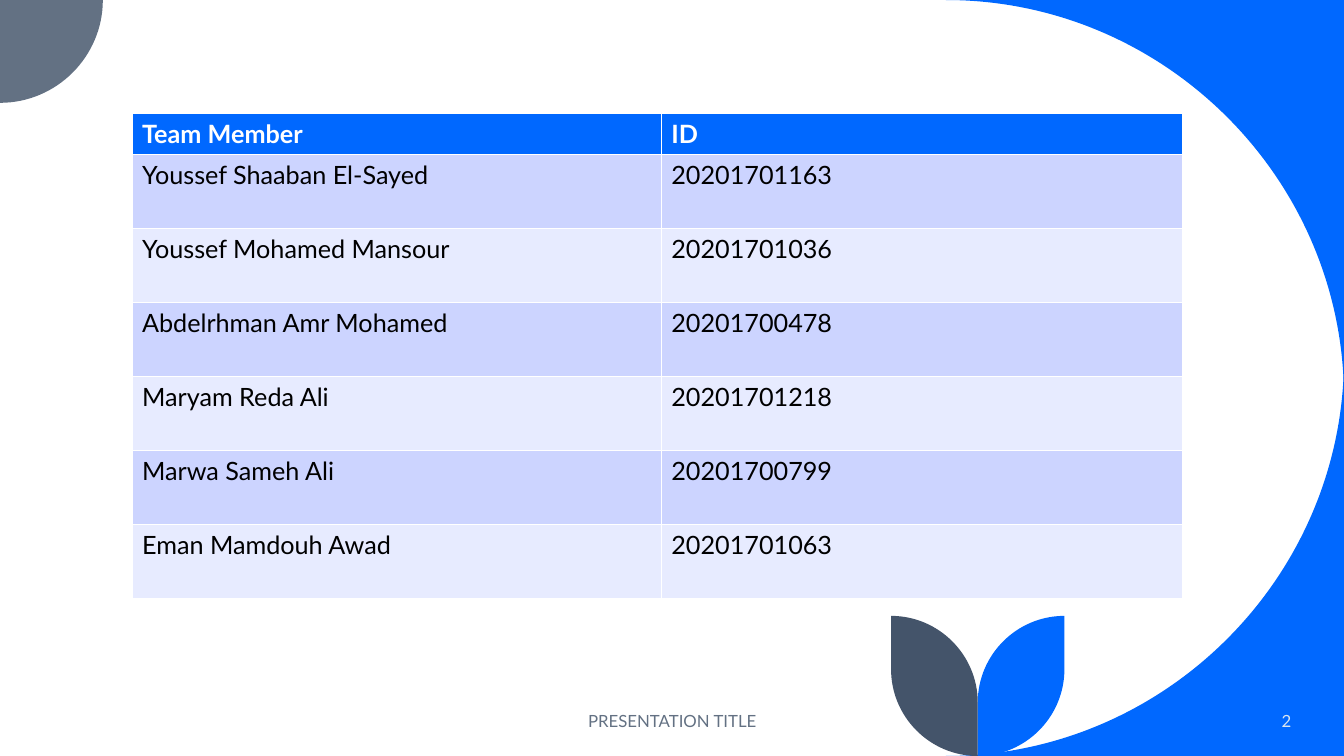
from dataclasses import dataclass

import pptx
import pptx.util
import pptx.dml.color
import pptx.enum.text
import pptx.oxml.ns

Inches = pptx.util.Inches
Rgb = pptx.dml.color.RGBColor.from_string
Align = pptx.enum.text.PP_ALIGN
Anchor = pptx.enum.text.MSO_ANCHOR
qn = pptx.oxml.ns.qn


@dataclass(frozen=True)
class Theme:
    font: str = "Lato"
    table_size: int = 18
    footer_size: int = 12
    blue: str = "0068FF"
    slate: str = "637183"
    navy: str = "44546A"
    pale: str = "DAE5EF"
    white: str = "FFFFFF"
    black: str = "000000"
    bands: tuple = ("CCD4FF", "E7EBFF")


theme = Theme()


def write(frame, text, size, color, bold=False, align=Align.LEFT):
    paragraph = frame.paragraphs[0]
    paragraph.alignment = align
    run = paragraph.add_run()
    run.text = text
    run.font.name = theme.font
    run.font.size = pptx.util.Pt(size)
    run.font.bold = bold
    run.font.color.rgb = Rgb(color)


def quarter(start, corner, end):
    """Bezier points of a quarter circle that bulges towards corner."""
    controls = [
        tuple(a + (b - a) * 0.55 for a, b in zip(tip, corner)) for tip in (start, end)
    ]
    return controls + [end]


deck = pptx.Presentation()
deck.slide_width = Inches(13.333)
deck.slide_height = Inches(7.5)
slide = deck.slides.add_slide(deck.slide_layouts[6])

# Curved decoration: each outline is a start point, then lines (1 point) or curves (3)
right, bottom, sweep, disc = 13.333, 7.5, 3.95, 1.02
decorations = [
    (theme.blue, (right, 0), [
        [(right - sweep, 0)],
        quarter((right - sweep, 0), (right, 0), (right, sweep)),
    ]),
    (theme.blue, (right, bottom - sweep), [
        quarter((right, bottom - sweep), (right, bottom), (right - sweep, bottom)),
        [(right, bottom)],
    ]),
    (theme.slate, (0, 0), [
        [(disc, 0)],
        quarter((disc, 0), (disc, disc), (0, disc)),
    ]),
]
stem, leaf_top, leaf_width, leaf_side = 9.7, 6.11, 0.86, 0.53
for color, direction in [(theme.blue, 1), (theme.navy, -1)]:
    edge = stem + direction * leaf_width
    tip, shoulder = (edge, leaf_top), (edge, leaf_top + leaf_side)
    base, waist = (stem, bottom), (stem, bottom - leaf_side)
    decorations.append((color, tip, [
        [shoulder],
        quarter(shoulder, (edge, bottom), base),
        [waist],
        quarter(waist, (stem, leaf_top), tip),
    ]))

for color, start, segments in decorations:
    builder = slide.shapes.build_freeform(Inches(start[0]), Inches(start[1]))
    builder.add_line_segments(
        [(Inches(x), Inches(y)) for segment in segments for x, y in segment], close=True
    )
    decoration = builder.convert_to_shape()
    decoration.shadow.inherit = False
    decoration.fill.solid()
    decoration.fill.fore_color.rgb = Rgb(color)
    decoration.line.fill.background()
    steps = iter(list(decoration._element.iter(qn("a:lnTo"))))
    for segment in segments:
        first, *others = [next(steps) for _ in segment]
        if others:
            curve = first.makeelement(qn("a:cubicBezTo"))
            first.addprevious(curve)
            for step in (first, *others):
                curve.append(step[0])
                step.getparent().remove(step)

# Footer
for text, left, width, color, align in [
    ("PRESENTATION TITLE", 4.42, 4.5, theme.slate, Align.CENTER),
    ("2", 11.1, 1.81, theme.pale, Align.RIGHT),
]:
    footer = slide.shapes.add_textbox(Inches(left), Inches(6.95), Inches(width), Inches(0.4))
    footer.text_frame.word_wrap = True
    footer.text_frame.vertical_anchor = Anchor.MIDDLE
    write(footer.text_frame, text, theme.footer_size, color, align=align)

# Team table; its default style supplies the white rules
team = [
    ("Team Member", "ID"),
    ("Youssef Shaaban El-Sayed", "20201701163"),
    ("Youssef Mohamed Mansour", "20201701036"),
    ("Abdelrhman Amr Mohamed", "20201700478"),
    ("Maryam Reda Ali", "20201701218"),
    ("Marwa Sameh Ali", "20201700799"),
    ("Eman Mamdouh Awad", "20201701063"),
]
column_widths = (5.25, 5.17)
header_height, member_height = 0.39, 0.735
members = slide.shapes.add_table(
    len(team), len(column_widths), Inches(1.31), Inches(1.13),
    Inches(sum(column_widths)), Inches(header_height + member_height * (len(team) - 1)),
).table
for column, width in zip(members.columns, column_widths):
    column.width = Inches(width)

for r, entry in enumerate(team):
    header = r == 0
    members.rows[r].height = Inches(header_height if header else member_height)
    for c, text in enumerate(entry):
        cell = members.cell(r, c)
        cell.fill.solid()
        cell.fill.fore_color.rgb = Rgb(theme.blue if header else theme.bands[(r - 1) % 2])
        write(cell.text_frame, text, theme.table_size,
              theme.white if header else theme.black, bold=header)

deck.save("out.pptx")
